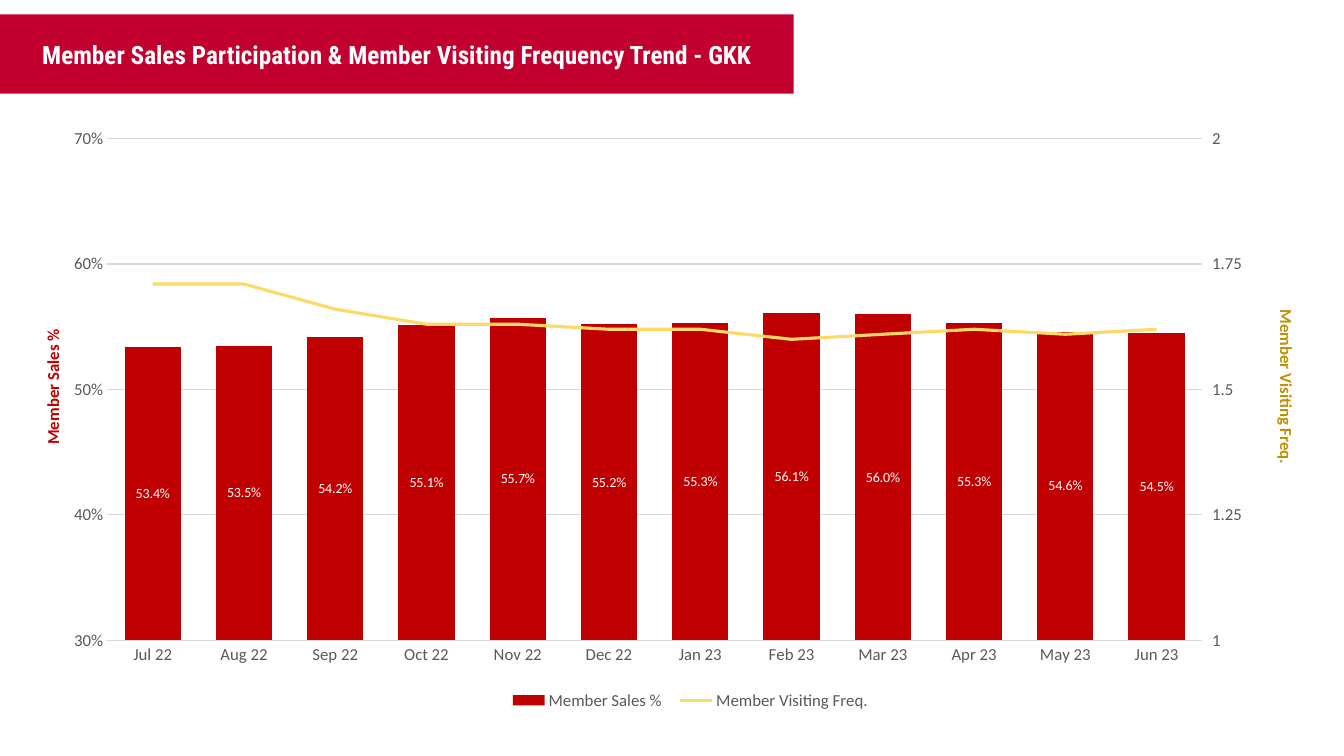
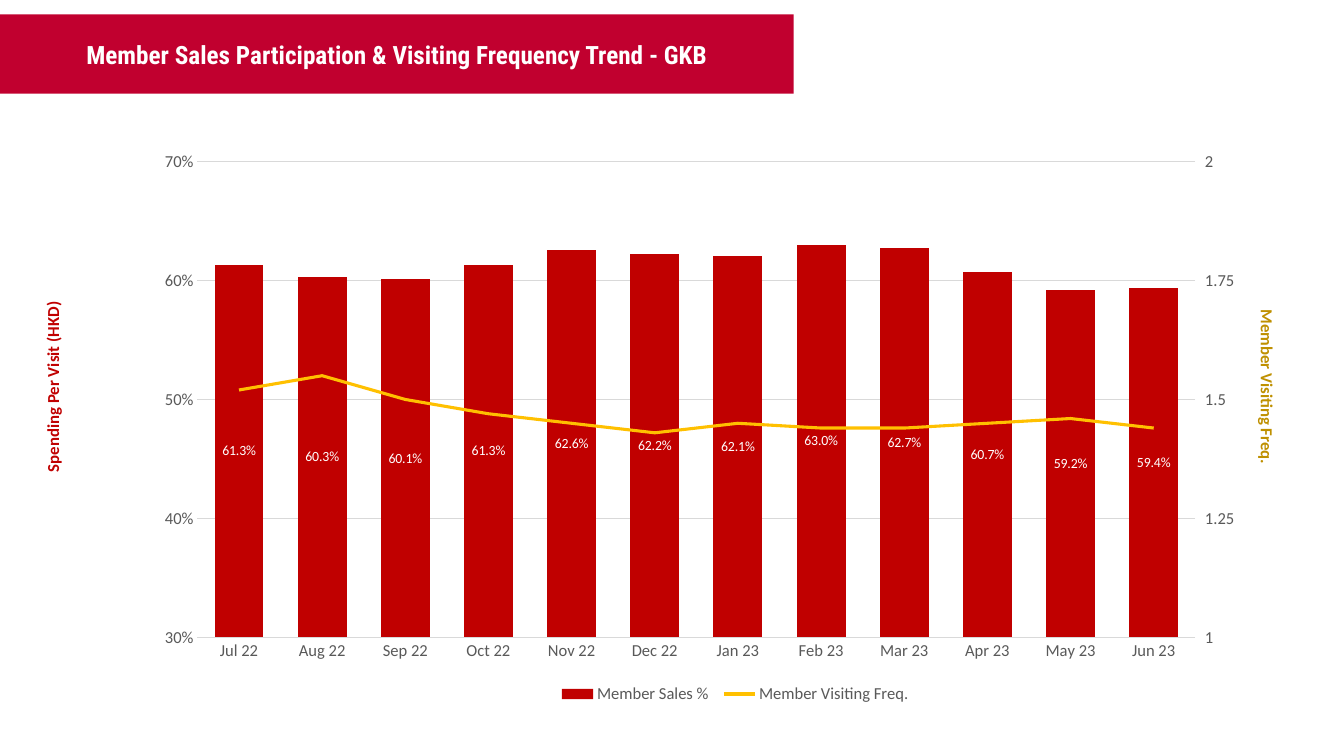
from lxml import etree
from pptx import Presentation
from pptx.chart.axis import ValueAxis
from pptx.chart.data import CategoryChartData
from pptx.dml.color import RGBColor
from pptx.enum.chart import XL_CHART_TYPE as CT
from pptx.enum.chart import XL_LABEL_POSITION as LABEL_POS
from pptx.enum.chart import XL_LEGEND_POSITION as LEGEND_POS
from pptx.enum.chart import XL_MARKER_STYLE as MARKER
from pptx.enum.chart import XL_TICK_MARK as TICK
from pptx.enum.text import MSO_ANCHOR as ANCHOR
from pptx.enum.text import MSO_AUTO_SIZE as AUTO
from pptx.enum.text import PP_ALIGN as ALIGN
from pptx.oxml import parse_xml
from pptx.oxml.ns import nsdecls, qn
from pptx.util import Cm, Pt

# Shared colours and fonts
CRIMSON = RGBColor(0xC1, 0x00, 0x2F)
RED = RGBColor(0xC0, 0x00, 0x00)
OCHRE = RGBColor(0xBF, 0x90, 0x00)
PALE_GOLD = RGBColor(0xFF, 0xD9, 0x66)
GOLD = RGBColor(0xFF, 0xC0, 0x00)
GREY = RGBColor(0x59, 0x59, 0x59)
GRID = RGBColor(0xD9, 0xD9, 0xD9)
WHITE = RGBColor(0xFF, 0xFF, 0xFF)
TITLE_FONT, BODY_FONT = "Roboto Condensed", "Calibri"

# Shared places, in cm
TITLE_BOX = (0, 0.36, 20, 2)
AXIS_TITLE_SIZE = (6, 0.77)
AXIS_TITLE_Y = 9.75
LEFT_TITLE_X = 1.33

MONTHS = [f"{m} 22" for m in ("Jul", "Aug", "Sep", "Oct", "Nov", "Dec")]
MONTHS += [f"{m} 23" for m in ("Jan", "Feb", "Mar", "Apr", "May", "Jun")]

SLIDES = [
    dict(
        title="Member Sales Participation & Member Visiting Frequency Trend - GKK",
        box=(1.5, 3.19, 30, 15.06),
        plot=(0.04, 0.02, 0.92, 0.84),
        legend=(0.37, 0.93, 0.32, 0.06),
        gap=62,
        line_color=PALE_GOLD,
        left_title="Member Sales %",
        right_x=32.42,
        sales=[0.534, 0.535, 0.542, 0.551, 0.557, 0.552,
               0.553, 0.561, 0.56, 0.553, 0.546, 0.545],
        freq=[1.71, 1.71, 1.66, 1.63, 1.63, 1.62,
              1.62, 1.6, 1.61, 1.62, 1.61, 1.62],
    ),
    dict(
        title="Member Sales Participation & Visiting Frequency Trend - GKB",
        box=(2.74, 3.79, 28.37, 14.27),
        plot=(0.08, 0.02, 0.9, 0.84),
        legend=(0.4, 0.93, 0.33, 0.06),
        gap=70,
        line_color=GOLD,
        left_title="Spending Per Visit (HKD)",
        right_x=31.94,
        sales=[0.613, 0.603, 0.601, 0.613, 0.626, 0.622,
               0.621, 0.63, 0.627, 0.607, 0.592, 0.594],
        freq=[1.52, 1.55, 1.5, 1.47, 1.45, 1.43,
              1.45, 1.44, 1.44, 1.45, 1.46, 1.44],
    ),
]

LINE_CHART = f"""<c:lineChart {nsdecls('c')}>
  <c:grouping val="stacked"/><c:varyColors val="0"/>
  <c:marker val="1"/><c:axId val="5001"/><c:axId val="5002"/>
</c:lineChart>"""
RIGHT_AXIS = f"""<c:valAx {nsdecls('c')}>
  <c:axId val="5002"/><c:scaling><c:orientation val="minMax"/></c:scaling>
  <c:delete val="0"/><c:axPos val="r"/>
  <c:numFmt formatCode="General" sourceLinked="0"/>
  <c:majorTickMark val="out"/><c:minorTickMark val="none"/>
  <c:tickLblPos val="nextTo"/><c:crossAx val="5001"/><c:crosses val="max"/>
</c:valAx>"""
HIDDEN_AXIS = f"""<c:catAx {nsdecls('c')}>
  <c:axId val="5001"/><c:scaling><c:orientation val="minMax"/></c:scaling>
  <c:delete val="1"/><c:axPos val="b"/>
  <c:crossAx val="5002"/><c:crosses val="autoZero"/>
</c:catAx>"""


def set_font(font, size, color, name=BODY_FONT, bold=False):
    font.size, font.name, font.bold = Pt(size), name, bold
    font.color.rgb = color


def add_title(s, text, box):
    """Title placeholder as a band filled with the brand colour."""
    sp = s.shapes.title
    sp.left, sp.top, sp.width, sp.height = (Cm(v) for v in box)
    sp.fill.solid()
    sp.fill.fore_color.rgb = CRIMSON
    tf = sp.text_frame
    tf.text = text
    tf.word_wrap, tf.auto_size = True, AUTO.NONE
    tf.vertical_anchor = ANCHOR.MIDDLE
    p = tf.paragraphs[0]
    p.alignment = ALIGN.CENTER
    set_font(p.runs[0].font, 18, WHITE, TITLE_FONT, True)


def add_axis_title(s, text, center_x, rotation, color):
    """Turned text box centred on the given x."""
    w, h = AXIS_TITLE_SIZE
    sp = s.shapes.add_textbox(Cm(center_x - w / 2), Cm(AXIS_TITLE_Y - h / 2),
                              Cm(w), Cm(h))
    sp.rotation = rotation
    tf = sp.text_frame
    tf.word_wrap = True
    tf.text = text
    p = tf.paragraphs[0]
    p.alignment = ALIGN.CENTER
    set_font(p.runs[0].font, 12, color, bold=True)


def set_layout(parent, index, box, inner=False):
    """Place a chart part by fractions of the chart's own box."""
    for old in parent.findall(qn("c:layout")):
        parent.remove(old)
    layout = parse_xml(f"<c:layout {nsdecls('c')}/>")
    manual = etree.SubElement(layout, qn("c:manualLayout"))
    fields = [("layoutTarget", "inner")] if inner else []
    fields += [("xMode", "edge"), ("yMode", "edge")]
    fields += zip("xywh", box)
    for tag, value in fields:
        etree.SubElement(manual, qn(f"c:{tag}")).set("val", str(value))
    parent.insert(index, layout)


def move_to_right_axis(chart):
    """Turn the second series into a line on its own axis; return that axis."""
    bars = chart.plots[0]._element
    ser = bars.findall(qn("c:ser"))[1]
    for child in ser.findall(qn("c:invertIfNegative")):
        ser.remove(child)
    line_chart = parse_xml(LINE_CHART)
    line_chart.insert(2, ser)
    bars.addnext(line_chart)
    right, hidden = parse_xml(RIGHT_AXIS), parse_xml(HIDDEN_AXIS)
    chart.value_axis._element.addnext(right)
    right.addnext(hidden)
    return ValueAxis(right)


def style_axis(axis, tick=TICK.NONE, scale=None):
    axis.major_tick_mark, axis.minor_tick_mark = tick, TICK.NONE
    set_font(axis.tick_labels.font, 12, GREY)
    if scale:
        axis.minimum_scale, axis.maximum_scale, axis.major_unit = scale
        axis.format.line.fill.background()


def set_line(line, color, width):
    line.color.rgb, line.width = color, Pt(width)


def add_trend_chart(s, box, sales, freq, gap, line_color, plot, legend):
    """Sales columns on the left axis, visiting frequency on the right one."""
    data = CategoryChartData()
    data.categories = MONTHS
    data.add_series("Member Sales %", sales, "0.0%")
    data.add_series("Member Visiting Freq.", freq)
    chart = s.shapes.add_chart(CT.COLUMN_STACKED, *(Cm(v) for v in box),
                               data).chart
    chart.font.size, chart.font.name = Pt(10), "Arial"
    chart.has_title = False

    # Axes: the left one is taken before a second value axis exists
    left_axis = chart.value_axis
    right_axis = move_to_right_axis(chart)
    style_axis(chart.category_axis)
    set_line(chart.category_axis.format.line, GRID, 0.75)
    style_axis(left_axis, scale=(0.3, 0.7, 0.1))
    left_axis.tick_labels.number_format = "0%"
    left_axis.tick_labels.number_format_is_linked = False
    set_line(left_axis.major_gridlines.format.line, GRID, 0.75)
    style_axis(right_axis, TICK.OUTSIDE, (1, 2, 0.25))

    # Columns and their labels
    bars, lines = chart.plots
    bars.gap_width, bars.overlap, bars.vary_by_categories = gap, 100, False
    column = bars.series[0]
    column.format.fill.solid()
    column.format.fill.fore_color.rgb = RED
    labels = column.data_labels
    labels.show_value, labels.position = True, LABEL_POS.CENTER
    labels.number_format, labels.number_format_is_linked = "0.0%", False
    set_font(labels.font, 10, WHITE)

    # Line
    trend = lines.series[0]
    set_line(trend.format.line, line_color, 2.25)
    trend.marker.style, trend.smooth = MARKER.NONE, False

    # Legend and plot area
    chart.has_legend = True
    chart.legend.position = LEGEND_POS.BOTTOM
    chart.legend.include_in_layout = False
    set_font(chart.legend.font, 12, GREY)
    set_layout(chart.legend._element, 1, legend)
    set_layout(bars._element.getparent(), 0, plot, inner=True)


def add_trend_slide(prs, title, box, left_title, right_x, **chart_options):
    s = prs.slides.add_slide(prs.slide_layouts[5])
    add_title(s, title, TITLE_BOX)
    add_trend_chart(s, box, **chart_options)
    add_axis_title(s, "Member Visiting Freq.", right_x, 90, OCHRE)
    add_axis_title(s, left_title, LEFT_TITLE_X, 270, RED)


def main():
    prs = Presentation()
    prs.slide_width, prs.slide_height = Cm(33.87), Cm(19.05)
    for content in SLIDES:
        add_trend_slide(prs, **content)
    prs.save("out.pptx")


if __name__ == "__main__":
    main()
